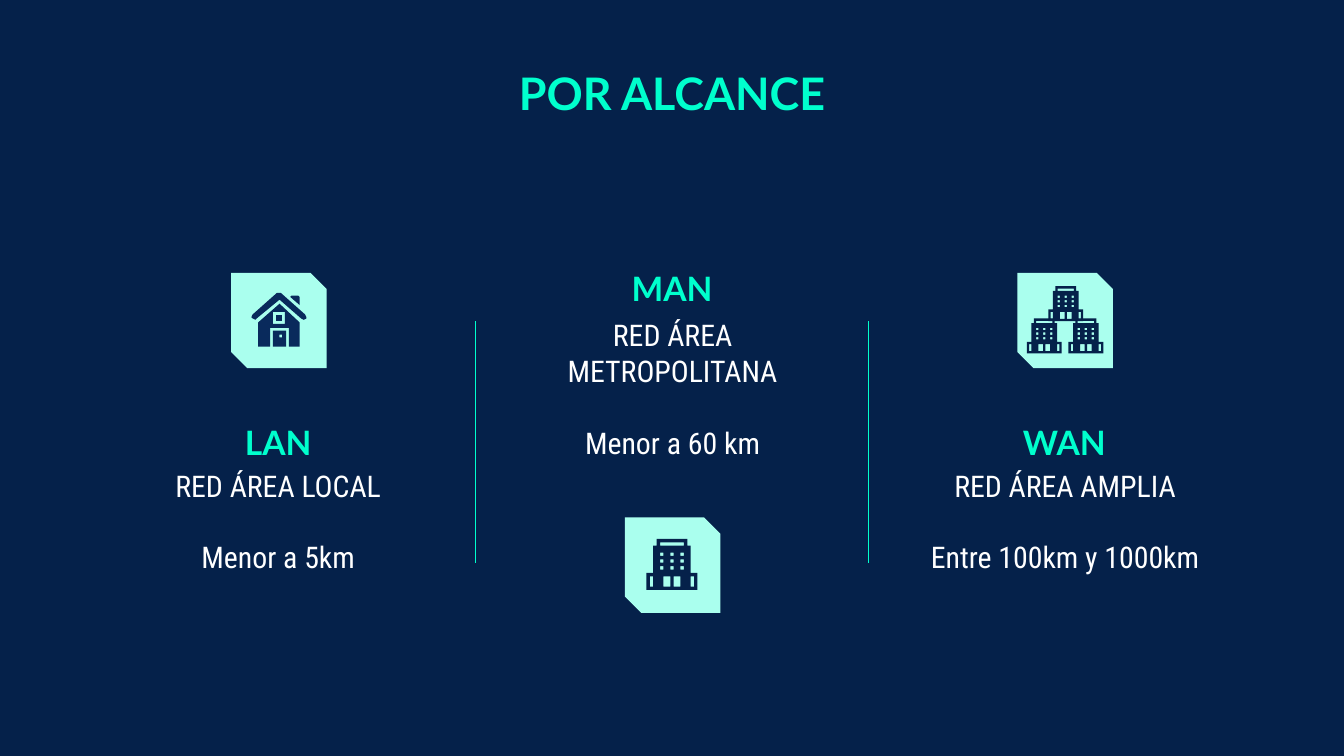
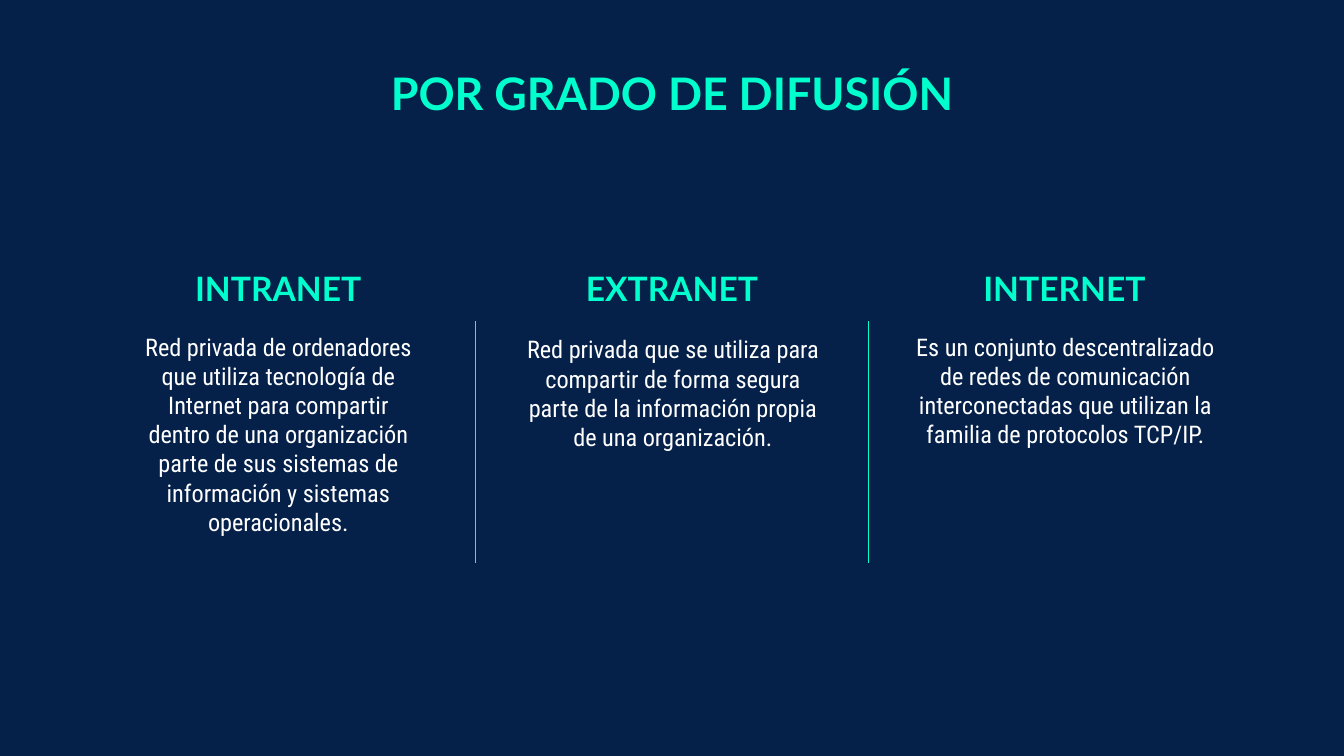
from lxml import etree
from pptx import Presentation
from pptx import util as u
from pptx.dml.color import RGBColor
from pptx.enum import shapes, text
from pptx.oxml.ns import qn

PX = 9144  # EMU in one px, 100 px to the inch
SLIDE_WIDTH = 1000
NAVY = RGBColor(0x05, 0x21, 0x4A)
HOUSE_BLUE = RGBColor(0x09, 0x2A, 0x5C)
MINT = RGBColor(0x00, 0xFF, 0xCD)
PALE_MINT = RGBColor(0xAA, 0xFF, 0xEE)
WHITE = RGBColor(0xFF, 0xFF, 0xFF)

TOP, BOTTOM = text.MSO_ANCHOR.TOP, text.MSO_ANCHOR.BOTTOM
TITLE = dict(name="Lato", size=u.Pt(24), bold=True, color=MINT)
HEADING = dict(TITLE, size=u.Pt(18))
BODY = dict(name="Roboto Condensed", bold=False, color=WHITE)

CENTERS = (207, 500, 792)
BODY_WIDTHS = (224, 243, 243)
COLUMN_WIDTH, HEADING_HEIGHT = 292, 47
DIVIDERS = (354, 646)
DIVIDER_TOP, DIVIDER_BOTTOM = 239, 419
TILE = 71


def box(left, top, right, bottom):
    return [(left, top), (right, top), (right, bottom), (left, bottom)]


# An icon is a list of parts; a part is an outline followed by its holes.
HOUSE = [
    [[(30, 2), (29, 3), (36, 9), (36, 3), (35, 2)]],
    [box(16, 28, 26, 40), box(21, 31, 23, 33)],
    [box(18, 16, 23, 21)],
    [[(19, 0), (1, 16), (0, 18), (1, 19), (3, 20), (4, 19), (21, 5),
      (37, 19), (39, 20), (41, 19), (41, 18), (40, 16), (22, 0)]],
    [[(21, 8), (5, 22), (5, 40), (14, 40), (14, 26), (28, 26), (28, 40),
      (36, 40), (36, 22)], box(16, 14, 25, 23)],
]
BUILDING_GRID = 30
BUILDING = [[
    [(6, 0), (24, 0), (24, 4), (26, 4), (26, 20), (30, 20), (30, 30),
     (0, 30), (0, 20), (4, 20), (4, 4), (6, 4)],
    box(8, 2, 22, 4),
    *[box(x, y, x + 2, y + 2) for y in (8, 12, 16) for x in (8, 14, 20)],
    *[box(left, 22, right, 28)
      for left, right in ((2, 4), (10, 14), (16, 20), (26, 28))],
]]
LARGE, SMALL = 38 / BUILDING_GRID, 26 / BUILDING_GRID

# Each icon: parts, px per unit, colour, places inside the tile
HOUSE_ICON = (HOUSE, 1, HOUSE_BLUE, [(15, 15)])
BUILDING_ICON = (BUILDING, LARGE, NAVY, [(16, 16)])
BUILDINGS_ICON = (BUILDING, SMALL, NAVY, [(23, 10), (7, 34), (38, 34)])

SLIDES = [
    dict(title="POR ALCANCE", body_size=16, columns=[
        dict(heading="LAN", lines=["RED ÁREA LOCAL", "Menor a 5km"],
             heading_top=307, body_top=338, body_height=110,
             tile_top=203, icon=HOUSE_ICON),
        dict(heading="MAN", lines=["RED ÁREA METROPOLITANA", "Menor a 60 km"],
             heading_top=192, body_top=226, body_height=127,
             tile_top=385, icon=BUILDING_ICON),
        dict(heading="WAN", lines=["RED ÁREA AMPLIA", "Entre 100km y 1000km"],
             heading_top=307, body_top=338, body_height=110,
             tile_top=203, icon=BUILDINGS_ICON),
    ]),
    dict(title="POR GRADO DE DIFUSIÓN", body_size=13, columns=[
        dict(heading="INTRANET", lines=[
            "Red privada de ordenadores que utiliza tecnología de Internet "
            "para compartir dentro de una organización parte de sus sistemas "
            "de información y sistemas operacionales."],
             heading_top=192, body_top=237, body_height=207),
        dict(heading="EXTRANET", lines=[
            "Red privada que se utiliza para compartir de forma segura parte "
            "de la información propia de una organización."],
             heading_top=192, body_top=239, body_height=205),
        dict(heading="INTERNET", lines=[
            "Es un conjunto descentralizado de redes de comunicación "
            "interconectadas que utilizan la familia de protocolos TCP/IP."],
             heading_top=192, body_top=237, body_height=207),
    ]),
]


def place(shape, left, top, width, height):
    values = dict(left=left, top=top, width=width, height=height)
    for name, value in values.items():
        setattr(shape, name, value * PX)


def write(shape, lines, style, anchor=TOP, gap=0):
    """Fill a shape with centred lines, gap points apart."""
    frame = shape.text_frame
    settings = dict(word_wrap=True, auto_size=text.MSO_AUTO_SIZE.NONE,
                    vertical_anchor=anchor)
    settings.update({f"margin_{side}": 10 * PX
                     for side in ("left", "top", "right", "bottom")})
    for name, value in settings.items():
        setattr(frame, name, value)
    for index, line in enumerate(lines):
        paragraph = frame.add_paragraph() if index else frame.paragraphs[0]
        properties = paragraph._p.get_or_add_pPr()
        properties.set("marL", "0")
        properties.set("indent", "0")
        etree.SubElement(properties, qn("a:buNone"))
        paragraph.alignment = text.PP_ALIGN.CENTER
        paragraph.line_spacing = 1.0
        paragraph.space_before = u.Pt(gap if index else 0)
        run = paragraph.add_run()
        run.text = line
        for name, value in style.items():
            if name == "color":
                run.font.color.rgb = value
            else:
                setattr(run.font, name, value)


def paint(shape, color):
    shape.shadow.inherit = False
    shape.fill.solid()
    shape.fill.fore_color.rgb = color
    shape.line.fill.background()


def add_icon(slide, center, tile_top, icon):
    parts, unit, color, places = icon
    tile_left = center - TILE // 2
    tile = slide.shapes.add_shape(shapes.MSO_SHAPE.SNIP_2_DIAG_RECTANGLE,
                                  *(n * PX for n in (tile_left, tile_top, TILE, TILE)))
    tile.adjustments[0], tile.adjustments[1] = 0, 0.17
    paint(tile, PALE_MINT)
    for x, y in places:
        target = slide.shapes if len(parts) == 1 else slide.shapes.add_group_shape().shapes
        for outline, *holes in parts:
            builder = target.build_freeform(*outline[0], scale=unit * PX)
            builder.add_line_segments(outline[1:])
            for hole in holes:
                builder.move_to(*hole[0])
                builder.add_line_segments(hole[1:])
            paint(builder.convert_to_shape((tile_left + x) * PX, (tile_top + y) * PX),
                  color)


def add_divider(slide, x):
    line = slide.shapes.add_connector(shapes.MSO_CONNECTOR.STRAIGHT, x * PX,
                                      DIVIDER_TOP * PX, x * PX, DIVIDER_BOTTOM * PX)
    line.line.color.rgb = MINT
    line.line.width = u.Pt(0.75)
    etree.SubElement(line._element.spPr, qn("a:effectLst"))


def add_slide(presentation, content):
    slide = presentation.slides.add_slide(presentation.slide_layouts.get_by_name("Comparison"))
    title, *bodies, spare = slide.placeholders
    spare._element.getparent().remove(spare._element)
    place(title, 215, 39, 570, 103)
    write(title, [content["title"]], TITLE)

    body_style = dict(BODY, size=u.Pt(content["body_size"]))
    for column, body, center, width in zip(content["columns"], bodies, CENTERS, BODY_WIDTHS):
        heading = slide.shapes.add_textbox(0, 0, 0, 0)
        place(heading, center - COLUMN_WIDTH // 2, column["heading_top"],
              COLUMN_WIDTH, HEADING_HEIGHT)
        write(heading, [column["heading"]], HEADING, BOTTOM)
        place(body, center - width // 2, column["body_top"], width, column["body_height"])
        write(body, column["lines"], body_style, gap=19)
        if "icon" in column:
            add_icon(slide, center, column["tile_top"], column["icon"])
    for x in DIVIDERS:
        add_divider(slide, x)


def main():
    presentation = Presentation()
    presentation.slide_width = SLIDE_WIDTH * PX
    presentation.slide_height = SLIDE_WIDTH * PX * 9 // 16
    background = presentation.slide_master.background.fill
    background.solid()
    background.fore_color.rgb = NAVY
    for content in SLIDES:
        add_slide(presentation, content)
    presentation.save("out.pptx")


if __name__ == "__main__":
    main()
